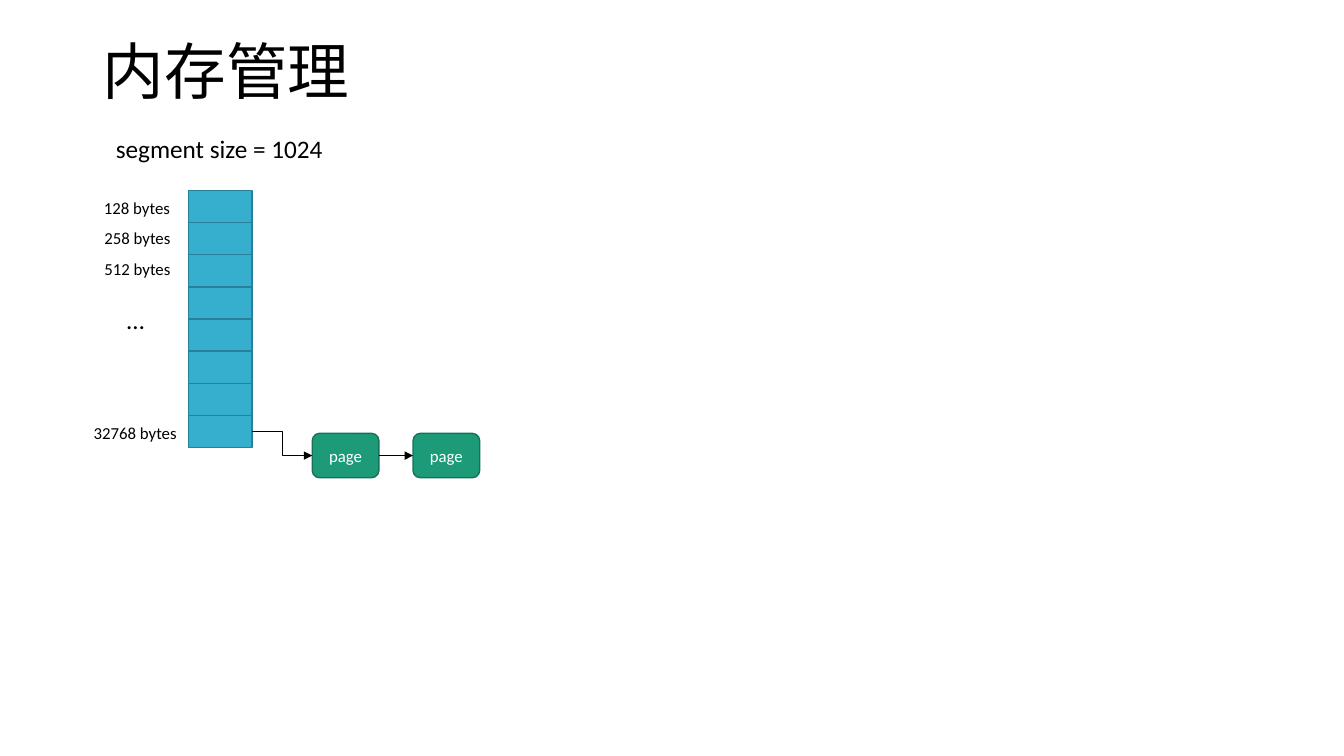
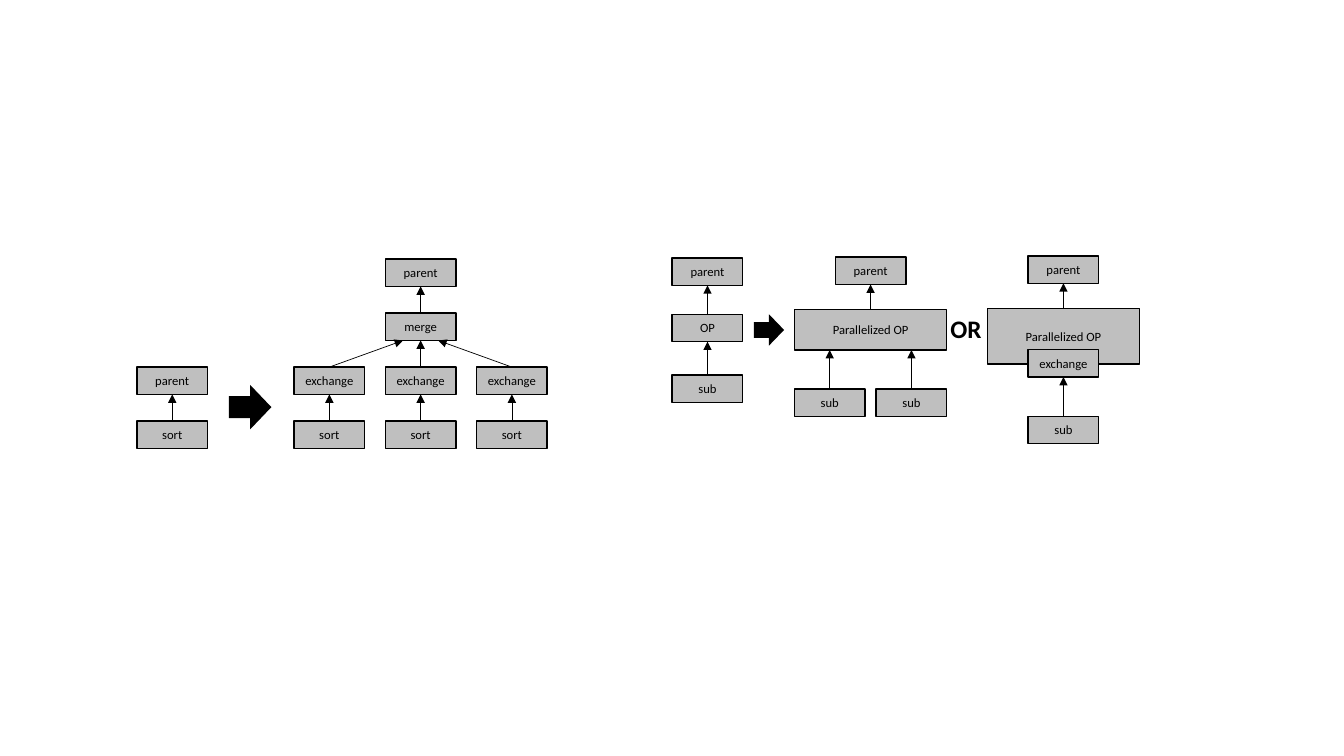
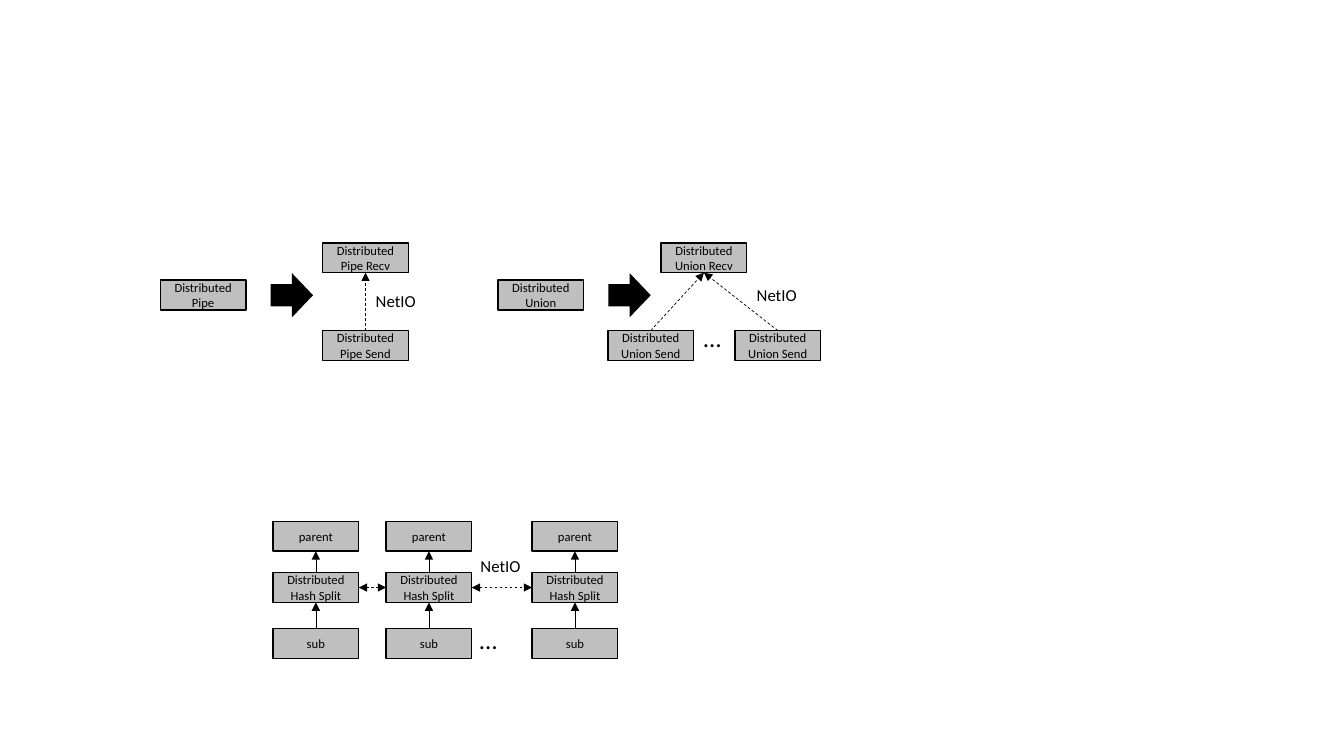
from lxml import etree
from pptx import Presentation
from pptx.dml.color import RGBColor
from pptx.enum.dml import MSO_LINE
from pptx.enum.shapes import MSO_CONNECTOR, MSO_SHAPE
from pptx.enum.text import MSO_ANCHOR, MSO_AUTO_SIZE, PP_ALIGN
from pptx.oxml.ns import qn
from pptx.util import Cm, Pt

RECT = MSO_SHAPE.RECTANGLE
ROUNDED = MSO_SHAPE.ROUNDED_RECTANGLE
BLOCK_ARROW = MSO_SHAPE.RIGHT_ARROW
STRAIGHT = MSO_CONNECTOR.STRAIGHT
ELBOW = MSO_CONNECTOR.ELBOW
DASH = MSO_LINE.DASH
MIDDLE = MSO_ANCHOR.MIDDLE
FIT_SHAPE = MSO_AUTO_SIZE.SHAPE_TO_FIT_TEXT
LEFT_ALIGN, CENTER = PP_ALIGN.LEFT, PP_ALIGN.CENTER
TOP, LEFT, BOTTOM, RIGHT = range(4)

FONT = "Calibri"
COLORS = {
    "black": "000000",
    "white": "FFFFFF",
    "node": "BFBFBF",
    "page": "1D9A78",
    "page_edge": "157259",
    "segment": "36AFCE",
    "segment_edge": "288198",
}
TITLE_ONLY, BLANK = 5, 6
NODE_W, NODE_H = 1.78, 0.69
WIDE_W, WIDE_H = 2.16, 0.75


def color(name):
    return RGBColor.from_string(COLORS[name])


def lengths(*values):
    return [Cm(value) for value in values]


def format_text(frame, size, ink="black", align=LEFT_ALIGN, bold=False):
    for paragraph in frame.paragraphs:
        paragraph.alignment = align
        for run in paragraph.runs:
            run.font.name = FONT
            run.font.size = Pt(size)
            run.font.bold = bold
            run.font.color.rgb = color(ink)


def add_title(slide, text):
    title = slide.shapes.title
    title.left, title.top, title.width, title.height = lengths(2.34, 0.74, 29.21, 2.29)
    title.text_frame.text = text
    title.text_frame.vertical_anchor = MIDDLE
    title.text_frame.paragraphs[0].line_spacing = 0.9
    format_text(title.text_frame, 44)


def add_label(slide, text, x, y, width, size=12, bold=False):
    height = 1.02 if size > 12 else 0.76
    frame = slide.shapes.add_textbox(*lengths(x, y, width, height)).text_frame
    frame.word_wrap = False
    frame.auto_size = FIT_SHAPE
    frame.text = text
    format_text(frame, size, bold=bold)


def add_block(parent, kind, x, y, width, height, fill, edge=None):
    """Add a filled shape to a slide or group, without an outline if edge is None."""
    block = parent.shapes.add_shape(kind, *lengths(x, y, width, height))
    block.shadow.inherit = False
    block.fill.solid()
    block.fill.fore_color.rgb = color(fill)
    if edge:
        block.line.color.rgb = color(edge)
        block.line.width = Pt(1)
    else:
        block.line.fill.background()
    return block


def add_node(slide, text, x, y, width=NODE_W, height=NODE_H):
    node = add_block(slide, RECT, x, y, width, height, "node", "black")
    node.text_frame.text = text
    format_text(node.text_frame, 9, align=CENTER)
    return node


def add_wide_node(slide, text, x, y):
    return add_node(slide, text, x, y, WIDE_W, WIDE_H)


def add_page(slide, x):
    page = add_block(slide, ROUNDED, x, 10.92, 1.68, 1.12, "page", "page_edge")
    page.text_frame.text = "page"
    format_text(page.text_frame, 12, "white", CENTER)
    return page


def add_block_arrow(slide, x, y, width=1.07, height=1.12):
    add_block(slide, BLOCK_ARROW, x, y, width, height, "black")


def add_arrow(slide, source, target, sides=(TOP, BOTTOM), kind=STRAIGHT,
              dashed=False, both_ways=False):
    """Join two shapes; a target given as an (x, y) pair in cm is a free end."""
    arrow = slide.shapes.add_connector(kind, 0, 0, 0, 0)
    arrow.begin_connect(source, sides[0])
    if isinstance(target, tuple):
        arrow.end_x, arrow.end_y = lengths(*target)
    else:
        arrow.end_connect(target, sides[1])
    arrow.line.color.rgb = color("black")
    arrow.line.width = Pt(0.5)
    if dashed:
        arrow.line.dash_style = DASH
    outline = arrow.get_or_add_ln()
    for end in ("a:headEnd", "a:tailEnd") if both_ways else ("a:tailEnd",):
        etree.SubElement(outline, qn(end), type="triangle")
    etree.SubElement(outline.getparent(), qn("a:effectLst"))


def add_chain(slide, texts, x, tops, add=add_node):
    """Stack nodes from top to bottom, each with an arrow to the one above."""
    nodes = [add(slide, text, x, top) for text, top in zip(texts, tops)]
    for upper, lower in zip(nodes, nodes[1:]):
        add_arrow(slide, lower, upper)
    return nodes


def build_memory_slide(slide):
    add_title(slide, "内存管理")
    add_label(slide, "segment size = 1024", 2.67, 3.23, 5.79, 18)

    segments = slide.shapes.add_group_shape()
    cells = [add_block(segments, RECT, 4.75, 4.8 + 0.81 * row, 1.6, 0.81,
                       "segment", "segment_edge") for row in range(8)]
    for text, x, y, width in (("128 bytes", 2.37, 4.85, 2.21),
                              ("258 bytes", 2.38, 5.62, 2.21),
                              ("512 bytes", 2.38, 6.4, 2.21),
                              ("32768 bytes", 2.11, 10.54, 2.64)):
        add_label(slide, text, x, y, width)
    add_label(slide, "…", 2.95, 7.54, 0.97, 18)

    first_page, second_page = [add_page(slide, x) for x in (7.87, 10.41)]
    add_arrow(slide, cells[-1], first_page, (RIGHT, LEFT), ELBOW)
    add_arrow(slide, first_page, second_page, (RIGHT, LEFT))


def build_sort_plan(slide):
    rows = [6.53 + 1.36 * level for level in range(4)]
    columns = [7.41 + 2.3 * branch for branch in range(3)]
    add_chain(slide, ["parent", "sort"], 3.45, rows[2:])
    add_block_arrow(slide, 5.77, 9.7)

    _, merge = add_chain(slide, ["parent", "merge"], columns[1], rows[:2])
    merge_center, merge_bottom = columns[1] + NODE_W / 2, rows[1] + NODE_H
    for side, x in zip((-1, 0, 1), columns):
        exchange, _ = add_chain(slide, ["exchange", "sort"], x, rows[2:])
        entry = (merge_center + side * NODE_W / 4, merge_bottom) if side else merge
        add_arrow(slide, exchange, entry)


def build_operator_plans(slide):
    add_chain(slide, ["parent", "OP", "sub"], 16.94, [6.5, 7.92, 9.45])
    add_block_arrow(slide, 19, 7.92, 0.76, 0.79)

    parent = add_node(slide, "parent", 21.05, 6.48)
    operator = add_node(slide, "Parallelized OP", 20.02, 7.8, 3.84, 1.02)
    add_arrow(slide, operator, parent)
    for x in (20.02, 22.08):
        sub = add_node(slide, "sub", x, 9.8)
        add_arrow(slide, sub, (x + NODE_W / 2, 8.82))

    add_label(slide, "OR", 23.7, 7.77, 1.3, 18, bold=True)
    parent = add_node(slide, "parent", 25.91, 6.45)
    operator = add_node(slide, "Parallelized OP", 24.88, 7.77, 3.84, 1.4)
    add_arrow(slide, operator, parent)
    add_chain(slide, ["exchange", "sub"], 25.91, [8.81, 10.49])


def build_distributed_plan(slide, name, x, recv_x, send_columns):
    """Draw one distributed operator and its split into receiver and senders."""
    add_wide_node(slide, f"Distributed {name}", x, 7.06)
    add_block_arrow(slide, x + 2.78, 6.88)
    receiver = add_wide_node(slide, f"Distributed {name} Recv", recv_x, 6.12)
    for send_x in send_columns:
        sender = add_wide_node(slide, f"Distributed {name} Send", send_x, 8.33)
        add_arrow(slide, sender, receiver, dashed=True)


def build_hash_split(slide):
    texts = ["parent", "Distributed Hash Split", "sub"]
    splits = [add_chain(slide, texts, x, [13.14, 14.43, 15.84], add_wide_node)[1]
              for x in (6.88, 9.73, 13.41)]
    for near, far in zip(splits, splits[1:]):
        add_arrow(slide, near, far, (RIGHT, LEFT), dashed=True, both_ways=True)


def build_distributed_slide(slide):
    build_distributed_plan(slide, "Pipe", 4.04, 8.13, [8.13])
    build_distributed_plan(slide, "Union", 12.55, 16.66, [15.32, 18.52])
    build_hash_split(slide)
    for x, y in ((9.22, 7.19), (18.82, 7.04), (11.86, 13.87)):
        add_label(slide, "NetIO", x, y, 1.52)
    for x, y in ((17.48, 8), (11.84, 15.6)):
        add_label(slide, "…", x, y, 0.97, 18)


def main():
    deck = Presentation()
    deck.slide_width, deck.slide_height = lengths(33.87, 19.05)
    layouts = deck.slide_layouts

    build_memory_slide(deck.slides.add_slide(layouts[TITLE_ONLY]))
    plans = deck.slides.add_slide(layouts[BLANK])
    build_sort_plan(plans)
    build_operator_plans(plans)
    build_distributed_slide(deck.slides.add_slide(layouts[BLANK]))
    deck.save("out.pptx")


if __name__ == "__main__":
    main()
